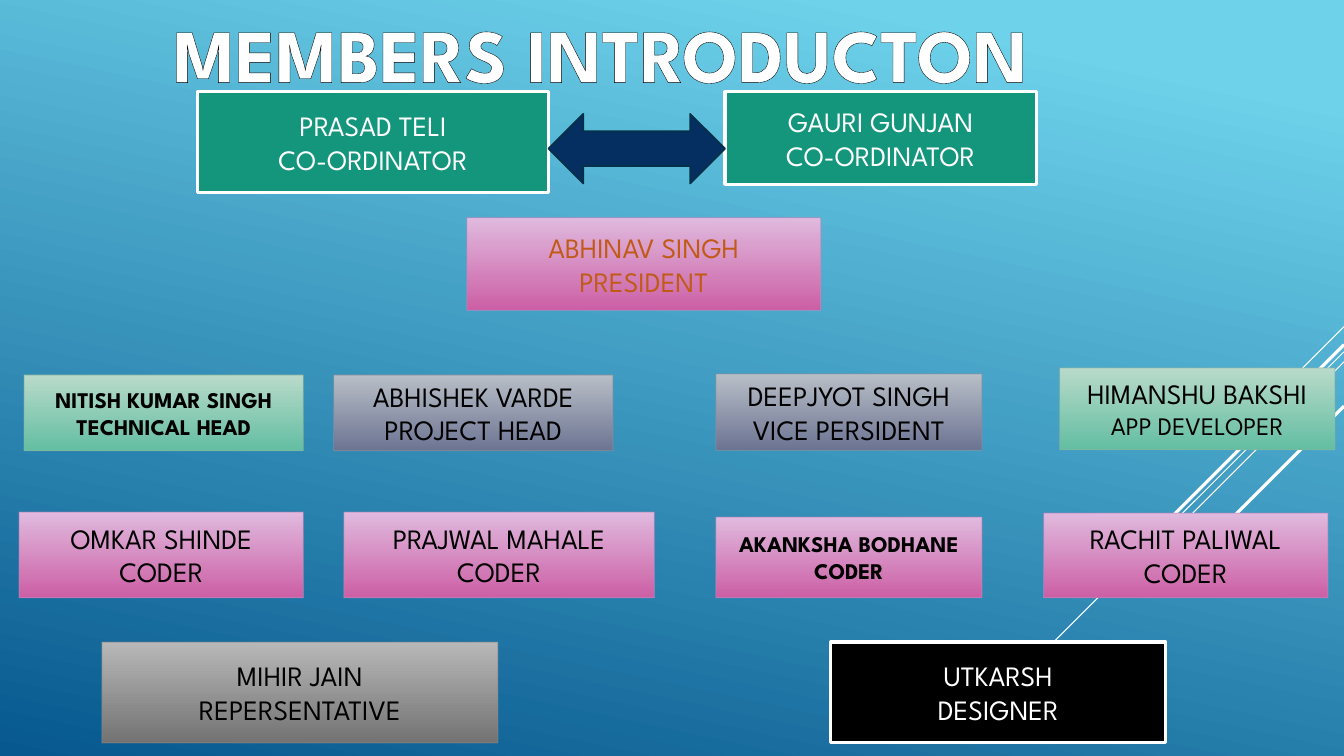
from dataclasses import dataclass

from lxml.etree import SubElement
from pptx import Presentation
from pptx.dml.color import RGBColor
from pptx.dml.fill import FillFormat
from pptx.enum.shapes import MSO_CONNECTOR, MSO_SHAPE
from pptx.enum.text import MSO_ANCHOR, MSO_AUTO_SIZE, PP_ALIGN
from pptx.oxml.ns import qn
from pptx.slide import Slide
from pptx.util import Inches, Pt


@dataclass(frozen=True)
class CardStyle:
    stops: tuple[str, ...]
    border: str
    border_width: float = 0.75
    border_opacity: int = 60
    text: str = "000000"


@dataclass(frozen=True)
class Theme:
    font: str = "League Spartan"
    title_size: int = 54
    card_size: int = 20
    role_size: int = 18
    bold_size: int = 16
    white: str = "FFFFFF"
    title_outline: str = "000000"
    sky: tuple[str, str] = ("6ED2EB", "06588E")
    arrow: str = "052F61"
    arrow_border: str = "043148"
    teal: CardStyle = CardStyle(("14967C",), "FFFFFF", 2.25, 100, "FFFFFF")
    black: CardStyle = CardStyle(("000000",), "FFFFFF", 2.25, 100, "FFFFFF")
    pink: CardStyle = CardStyle(("E0BADE", "CC5FA5"), "C089BD")
    president: CardStyle = CardStyle(("E0BADE", "CC5FA5"), "C089BD", text="C15A16")
    slate: CardStyle = CardStyle(("B8BEC6", "6C7493"), "89919C")
    mint: CardStyle = CardStyle(("B9DACA", "63BEA2"), "8AB7A1")
    gray: CardStyle = CardStyle(("B8B8B8", "737373"), "898989")


THEME = Theme()
SLIDE_WIDTH = 13.33


@dataclass(frozen=True)
class Member:
    name: str
    role: str
    left: float
    top: float
    width: float
    height: float
    style: CardStyle
    size: int = THEME.card_size
    role_size: int = 0
    bold: bool = False


@dataclass(frozen=True)
class Ray:
    top: float
    run: float
    width: float


MEMBERS = (
    Member("PRASAD TELI", "CO-ORDINATOR", 1.96, 0.91, 3.48, 1, THEME.teal),
    Member("GAURI GUNJAN", "CO-ORDINATOR", 7.19, 0.91, 3.09, 0.92, THEME.teal),
    Member("ABHINAV SINGH", "PRESIDENT", 4.63, 2.16, 3.51, 0.92, THEME.president),
    Member("NITISH KUMAR SINGH", "TECHNICAL HEAD", 0.24, 3.72, 2.77, 0.75,
           THEME.mint, THEME.bold_size, bold=True),
    Member("ABHISHEK VARDE", "PROJECT HEAD", 3.31, 3.72, 2.77, 0.75, THEME.slate),
    Member("DEEPJYOT SINGH", "VICE PERSIDENT", 7.1, 3.71, 2.64, 0.76, THEME.slate),
    Member("HIMANSHU BAKSHI", "APP DEVELOPER", 10.51, 3.65, 2.73, 0.81,
           THEME.mint, role_size=THEME.role_size),
    Member("OMKAR SHINDE", "CODER", 0.19, 5.08, 2.82, 0.85, THEME.pink),
    Member("PRAJWAL MAHALE", "CODER", 3.41, 5.08, 3.08, 0.85, THEME.pink),
    Member("AKANKSHA BODHANE", "CODER", 7.1, 5.13, 2.64, 0.8,
           THEME.pink, THEME.bold_size, bold=True),
    Member("RACHIT PALIWAL", "CODER", 10.35, 5.09, 2.82, 0.84, THEME.pink),
    Member("MIHIR JAIN", "REPERSENTATIVE", 1.01, 6.37, 3.93, 1, THEME.gray),
    Member("UTKARSH", "DESIGNER", 8.24, 6.37, 3.32, 1, THEME.black),
)

RAYS = (
    Ray(3.24, 1, 0.75),
    Ray(3.49, 3.26, 0.75),
    Ray(3.59, 2.07, 0.75),
    Ray(3.42, 1.91, 2.25),
    Ray(4.03, 1.39, 2.25),
)


def paint(fill: FillFormat, colors: tuple[str, ...], angle: float = 90,
          start: float = 0) -> None:
    if len(colors) == 1:
        fill.solid()
        fill.fore_color.rgb = RGBColor.from_string(colors[0])
        return
    fill.gradient()
    fill.gradient_angle = 360 - angle
    for stop, color, position in zip(fill.gradient_stops, colors, (start, 1)):
        stop.color.rgb = RGBColor.from_string(color)
        stop.position = position


def draw_ray(slide: Slide, ray: Ray) -> None:
    line = slide.shapes.add_connector(
        MSO_CONNECTOR.STRAIGHT, Inches(SLIDE_WIDTH), Inches(ray.top),
        Inches(SLIDE_WIDTH - ray.run), Inches(ray.top + ray.run))
    line.line.color.rgb = RGBColor.from_string(THEME.white)
    line.line.width = Pt(ray.width)
    SubElement(line.element.spPr, qn("a:effectLst"))


def draw_title(slide: Slide, text: str) -> None:
    title = slide.shapes.title
    title.left, title.top = Inches(1.25), Inches(0)
    title.width, title.height = Inches(11.02), Inches(1.04)
    frame = title.text_frame
    frame.text = text
    frame.auto_size = MSO_AUTO_SIZE.NONE
    frame.vertical_anchor = MSO_ANCHOR.MIDDLE
    frame.margin_left = Inches(0.47)
    paragraph = frame.paragraphs[0]
    paragraph.alignment = PP_ALIGN.LEFT
    font = paragraph.font
    font.name, font.size, font.bold = THEME.font, Pt(THEME.title_size), True
    font.color.rgb = RGBColor.from_string(THEME.white)
    properties = paragraph.runs[0].font._element
    outline = SubElement(properties, qn("a:ln"), w=str(Pt(0.75)))
    outline_fill = SubElement(outline, qn("a:solidFill"))
    SubElement(outline_fill, qn("a:srgbClr"), val=THEME.title_outline)


def draw_member(slide: Slide, member: Member) -> None:
    style = member.style
    card = slide.shapes.add_shape(
        MSO_SHAPE.RECTANGLE, Inches(member.left), Inches(member.top),
        Inches(member.width), Inches(member.height))
    card.shadow.inherit = False
    paint(card.fill, style.stops)
    card.line.color.rgb = RGBColor.from_string(style.border)
    card.line.width = Pt(style.border_width)
    if style.border_opacity < 100:
        border = card.element.spPr.find(qn("a:ln")).find(f".//{qn('a:srgbClr')}")
        SubElement(border, qn("a:alpha"), val=str(style.border_opacity * 1000))
    frame = card.text_frame
    frame.text = f"{member.name}\n{member.role}"
    frame.word_wrap = True
    frame.vertical_anchor = MSO_ANCHOR.MIDDLE
    sizes = (member.size, member.role_size or member.size)
    for paragraph, size in zip(frame.paragraphs, sizes):
        paragraph.alignment = PP_ALIGN.CENTER
        font = paragraph.font
        font.name, font.size, font.bold = THEME.font, Pt(size), member.bold
        font.color.rgb = RGBColor.from_string(style.text)


def draw_arrow(slide: Slide) -> None:
    arrow = slide.shapes.add_shape(
        MSO_SHAPE.LEFT_RIGHT_ARROW, Inches(5.44), Inches(1.13),
        Inches(1.75), Inches(0.69))
    arrow.shadow.inherit = False
    paint(arrow.fill, (THEME.arrow,))
    arrow.line.color.rgb = RGBColor.from_string(THEME.arrow_border)
    arrow.line.width = Pt(1.25)


presentation = Presentation()
presentation.slide_width = Inches(SLIDE_WIDTH)
presentation.slide_height = Inches(7.5)
intro = presentation.slides.add_slide(presentation.slide_layouts[5])
paint(intro.background.fill, THEME.sky, angle=102, start=0.1)
for ray in RAYS:
    draw_ray(intro, ray)
draw_title(intro, "MEMBERS INTRODUCTON")
for member in MEMBERS:
    draw_member(intro, member)
draw_arrow(intro)
presentation.save("out.pptx")
